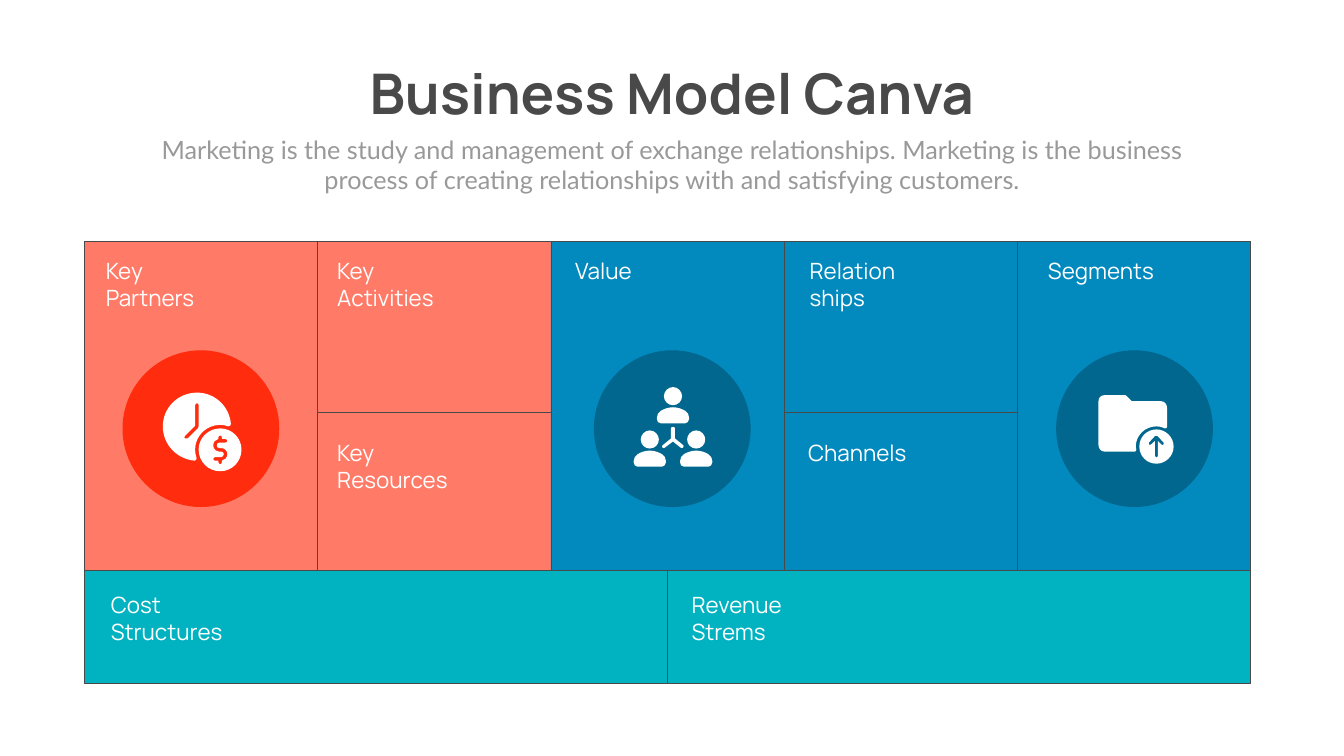
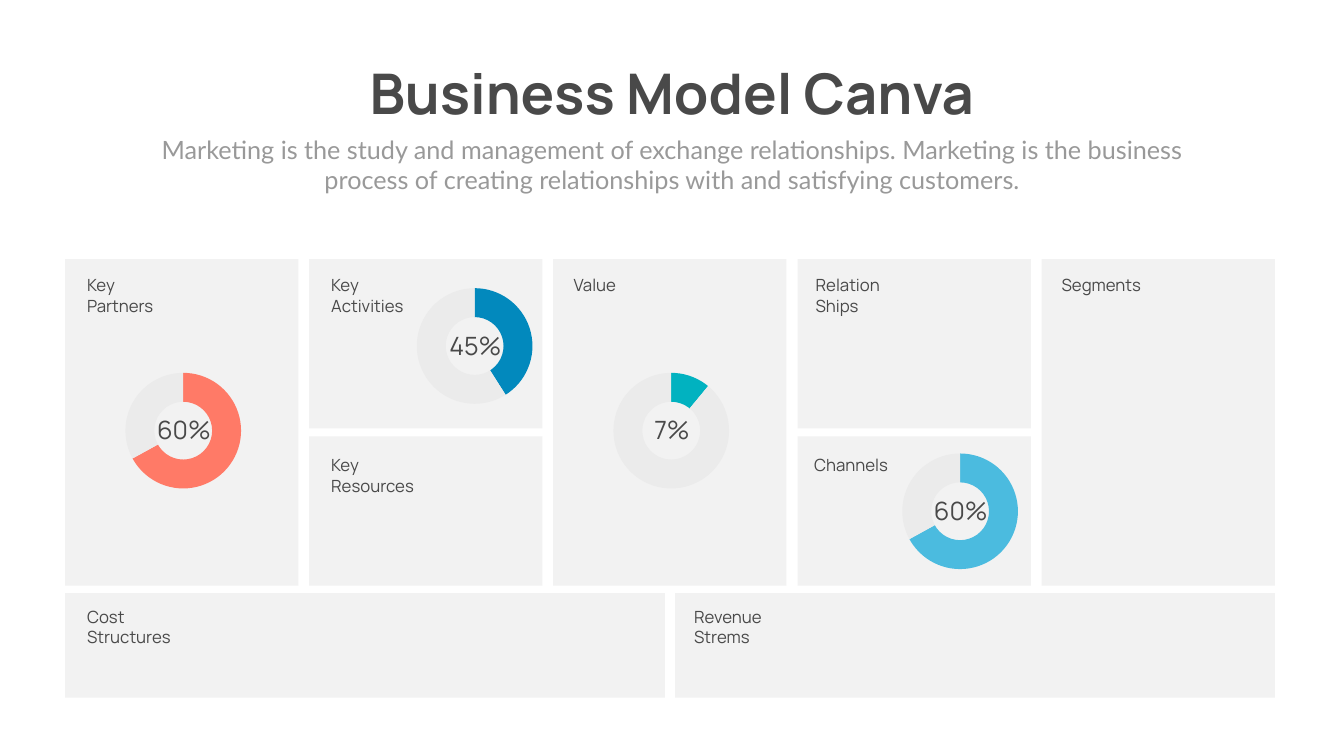
from lxml import etree
from pptx import Presentation
from pptx.chart.data import CategoryChartData
from pptx.dml.color import RGBColor
from pptx.enum.chart import XL_CHART_TYPE as CHART
from pptx.enum.shapes import MSO_SHAPE as SHAPE
from pptx.enum.text import MSO_AUTO_SIZE as FIT, PP_ALIGN as ALIGN
from pptx.oxml.ns import qn
from pptx.util import Emu, Pt

PX = 9144  # 100 px to the inch

COLORS = {
    "ink": "494949", "muted": "999999", "white": "FFFFFF",
    "coral": "FF7A67", "red": "FF2C0D", "blue": "0289BD", "navy": "01678E",
    "teal": "01B2C0", "sky": "4BBBDF", "panel": "F2F2F2", "track": "EBEBEB",
}
TITLE_FONT, BODY_FONT = "Manrope", "Lato"

# Outlines in px from the corner of their round badge; persons from their head
CLOCK = """M 144 197 C 144 170 166 148 194 148 199 148 205 149 210 151
    213 151 215 149 215 146 212 111 183 84 148 84 110 84 80 114 80 151
    80 187 108 216 143 219 146 219 147 216 147 214 145 208 144 203 144 197
    M 129 175 C 127 176 126 176 124 175 122 174 122 171 124 170
    L 144 150 144 109 C 144 107 146 105 148 105 150 105 151 107 151 109
    L 151 151 C 151 152 151 153 150 154"""
COIN = """M 194 155 C 170 155 151 174 151 197 151 221 170 240 194 240
    217 240 236 221 236 197 236 174 217 155 194 155
    M 192 194 L 196 194 C 202 194 208 199 208 206 208 213 203 218 197 219
    L 197 222 C 197 224 196 226 194 226 192 226 190 224 190 222
    L 190 219 183 219 C 181 219 180 217 180 215 180 213 181 212 183 212
    L 196 212 C 198 212 201 209 201 206 201 203 198 201 196 201
    L 192 201 C 185 201 180 195 180 189 180 182 184 177 190 176
    L 190 173 C 190 171 192 169 194 169 196 169 197 171 197 173
    L 197 176 204 176 C 206 176 208 178 208 180 208 182 206 183 204 183
    L 192 183 C 189 183 187 186 187 189 187 192 189 194 192 194"""
HEAD = """M 36 18 C 36 28 28 36 18 36 8 36 0 28 0 18
    0 9 8 0 18 0 28 0 36 9 36 18"""
BUST = """M -6 72 L 42 72 C 46 72 50 68 50 63 L 50 61
    C 50 55 47 50 42 47 37 44 28 40 18 40 8 40 -1 44 -6 47
    -11 50 -14 55 -14 61 L -14 63 C -14 68 -11 72 -6 72"""
TEAM_LINK = """M 175 194 C 176 194 177 194 177 193 179 191 178 189 177 188
    L 161 175 161 155 C 161 153 159 152 157 152 155 152 153 153 153 155
    L 153 175 137 188 C 135 189 135 191 136 193 137 194 138 194 139 194
    140 194 141 194 141 193 L 157 181 172 193 C 173 194 174 194 175 194"""
FOLDER = """M 158 191 C 158 169 176 151 199 151 205 151 210 152 216 155
    218 155 220 154 220 152 L 220 114 C 220 107 215 101 208 101
    L 150 101 139 90 C 138 89 137 89 137 89 L 96 89
    C 89 89 84 94 84 101 L 84 188 C 84 195 89 201 96 201
    L 156 201 C 158 201 159 199 159 197 158 195 158 193 158 191"""
UPLOAD = """M 199 157 C 180 157 165 172 165 191 165 210 180 225 199 225
    217 225 233 210 233 191 233 172 217 157 199 157
    M 213 187 C 213 188 212 188 211 188 210 188 209 188 209 187
    L 202 180 202 210 C 202 212 200 213 199 213 197 213 196 212 196 210
    L 196 180 188 187 C 187 188 185 188 184 187 183 186 183 184 184 183
    L 196 170 C 198 169 200 169 201 170 L 213 183 C 214 184 214 186 213 187"""


def rgb(name):
    return RGBColor.from_string(COLORS[name])


def emu(*lengths):
    return [Emu(v * PX) for v in lengths]


def paint(sp, fill, line=None):
    sp.shadow.inherit = False
    sp.fill.solid()
    sp.fill.fore_color.rgb = rgb(fill)
    if line:
        sp.line.color.rgb = rgb(line)
        sp.line.width = Pt(1)
    else:
        sp.line.fill.background()


def add_block(slide, kind, box, fill, line=None):
    sp = slide.shapes.add_shape(kind, *emu(*box))
    if kind == SHAPE.ROUNDED_RECTANGLE:
        sp.adjustments[0] = 0
    paint(sp, fill, line)
    return sp


def add_text(slide, box, text, size, color, font=TITLE_FONT, bold=None, align=None, wrap=True):
    sp = slide.shapes.add_textbox(*emu(*box))
    tf = sp.text_frame
    tf.word_wrap = wrap
    tf.auto_size = FIT.SHAPE_TO_FIT_TEXT
    p = tf.paragraphs[0]
    p.alignment = align
    r = p.add_run()
    r.text = text
    r.font.name, r.font.size, r.font.bold = font, Pt(size), bold
    r.font.color.rgb = rgb(color)
    return sp


def read_outline(outline):
    """Split an outline into commands M, L and C with their points."""
    commands = []
    for token in outline.split():
        if token in "MLC":
            commands.append((token, []))
        else:
            commands[-1][1].append(int(token))
    return [(name, list(zip(nums[::2], nums[1::2]))) for name, nums in commands]


def bend(sp, commands):
    """Join each three segments of a C command into one Bezier curve."""
    segments = iter(list(sp._element.iter(qn("a:lnTo"))))
    for name, pts in commands:
        if name == "L":
            for _ in pts:
                next(segments)
        elif name == "C":
            for _ in pts[::3]:
                trio = [next(segments) for _ in range(3)]
                curve = etree.Element(qn("a:cubicBezTo"))
                trio[0].addprevious(curve)
                for segment in trio:
                    curve.append(segment[0])
                    segment.getparent().remove(segment)


def add_outline(slide, x, y, outline):
    commands = read_outline(outline)
    contours = []
    for name, pts in commands:
        if name == "M":
            contours.append([])
        contours[-1].extend(pts)
    builder = slide.shapes.build_freeform(*contours[0][0], scale=PX)
    for i, points in enumerate(contours):
        if i:
            builder.move_to(*points[0])
        builder.add_line_segments(points[1:], close=True)
    sp = builder.convert_to_shape(*emu(x, y))
    bend(sp, commands)
    paint(sp, "white")
    return sp


# Icons: outlines with their offset from the corner of the badge
CLOCK_ICON = [(0, 0, CLOCK), (0, 0, COIN)]
TEAM_ICON = [(dx, dy, part) for dx, dy in ((139, 73), (93, 159), (185, 159))
             for part in (HEAD, BUST)] + [(0, 0, TEAM_LINK)]
FOLDER_ICON = [(0, 0, FOLDER), (0, 0, UPLOAD)]


def add_badge(slide, cell, dx, color, icon):
    x, y = cell[0] + dx, cell[1] + 216
    add_block(slide, SHAPE.OVAL, (x, y, 311, 311), color)
    slide.shapes.add_group_shape(
        [add_outline(slide, x + px, y + py, outline) for px, py, outline in icon])


def add_donut(slide, cell, dx, dy, value, label, color):
    x, y = cell[0] + dx, cell[1] + dy
    data = CategoryChartData()
    data.categories = ["1", "2"]
    data.add_series("Series 1", (value, 100 - value))
    frame = slide.shapes.add_chart(CHART.DOUGHNUT, *emu(x, y, 275, 257), data)
    chart = frame.chart
    chart.has_legend = chart.has_title = False
    chart.font.name, chart.font.size = "Calibri", Pt(10)
    chart.font.color.rgb = rgb("muted")
    plot = chart.plots[0]
    plot.vary_by_categories = True
    for hole in plot._element.xpath("c:holeSize"):
        hole.set("val", "75")
    for i, name in enumerate((color, "track")):
        fmt = plot.series[0].points[i].format
        fmt.fill.solid()
        fmt.fill.fore_color.rgb = rgb(name)
        fmt.line.fill.background()
    text = add_text(slide, (x + 62, y + 92, 154, 71), label, 36, "ink", align=ALIGN.CENTER)
    slide.shapes.add_group_shape([frame, text])


def canvas_cells(box, gap_x, gap_y, rows):
    """Five columns, the 2nd and 4th split in two, over a row of two halves."""
    x, y, w, h = box
    top, middle, bottom = rows
    step, half = (w + gap_x) / 5, (w + gap_x) / 2
    cells = []
    for col in range(5):
        left, width = round(x + col * step), round(step - gap_x)
        if col % 2:
            cells.append((left, y, width, top))
            cells.append((left, y + top + gap_y, width, middle))
        else:
            cells.append((left, y, width, top + gap_y + middle))
    return cells + [(x + int(i * half), y + h - bottom, round(half - gap_x), bottom)
                    for i in range(2)]


def add_canvas(slide, cells, fills, line, labels, size, color, heights):
    for cell, fill in zip(cells, fills):
        add_block(slide, SHAPE.ROUNDED_RECTANGLE, cell, fill, line)
    for cell, (text, dx, dy, w) in zip(cells, labels):
        box = (cell[0] + dx, cell[1] + dy, w, heights[" " in text])
        add_text(slide, box, text, size, color)


def add_header(slide):
    add_text(slide, (673, 112, 1320, 145), "Business Model Canva", 80, "ink",
             bold=True, align=ALIGN.CENTER, wrap=False)
    add_text(slide, (292, 261, 2082, 131),
             "Marketing is the study and management of exchange relationships. "
             "Marketing is the business process of creating relationships with "
             "and satisfying customers.", 36, "muted", BODY_FONT, align=ALIGN.CENTER)


def icon_slide(slide):
    add_header(slide)
    cells = canvas_cells((167, 479, 2314, 877), 0, 0, (339, 314, 224))
    labels = [
        ("Key Partners", 33, 26, 232), ("Key Activities", 29, 26, 265),
        ("Key Resources", 29, 48, 267), ("Value", 38, 26, 184),
        ("Relation ships", 41, 26, 239), ("Channels", 38, 48, 242),
        ("Segments", 51, 26, 257), ("Cost Structures", 43, 36, 292),
        ("Revenue Strems", 38, 36, 292),
    ]
    fills = ["coral"] * 3 + ["blue"] * 4 + ["teal"] * 2
    add_canvas(slide, cells, fills, "ink", labels, 32, "white", (64, 118))
    partners, value, segments = cells[0], cells[3], cells[6]
    add_badge(slide, partners, 76, "red", CLOCK_ICON)
    add_badge(slide, value, 85, "navy", TEAM_ICON)
    add_badge(slide, segments, 77, "navy", FOLDER_ICON)


def donut_slide(slide):
    add_header(slide)
    cells = canvas_cells((129, 514, 2400, 870), 21, 16, (336, 296, 207))
    labels = [
        ("Key Partners", 34, 27, 183), ("Key Activities", 34, 27, 182),
        ("Key Resources", 34, 32, 218), ("Value", 31, 27, 239),
        ("Relation Ships", 26, 27, 182), ("Channels", 23, 32, 241),
        ("Segments", 30, 27, 239), ("Cost Structures", 34, 21, 200),
        ("Revenue Strems", 28, 21, 200),
    ]
    add_canvas(slide, cells, ["panel"] * 9, None, labels, 24, "ink", (50, 91))
    partners, activities, value, channels = cells[0], cells[1], cells[3], cells[5]
    add_donut(slide, partners, 97, 212, 67, "60%", "coral")
    add_donut(slide, activities, 191, 44, 41, "45%", "blue")
    add_donut(slide, value, 97, 212, 11, "7%", "teal")
    add_donut(slide, channels, 185, 20, 67, "60%", "sky")


def main():
    prs = Presentation()
    prs.slide_width, prs.slide_height = emu(2666, 1500)
    for build in (icon_slide, donut_slide):
        build(prs.slides.add_slide(prs.slide_layouts[6]))
    prs.save("out.pptx")


if __name__ == "__main__":
    main()
